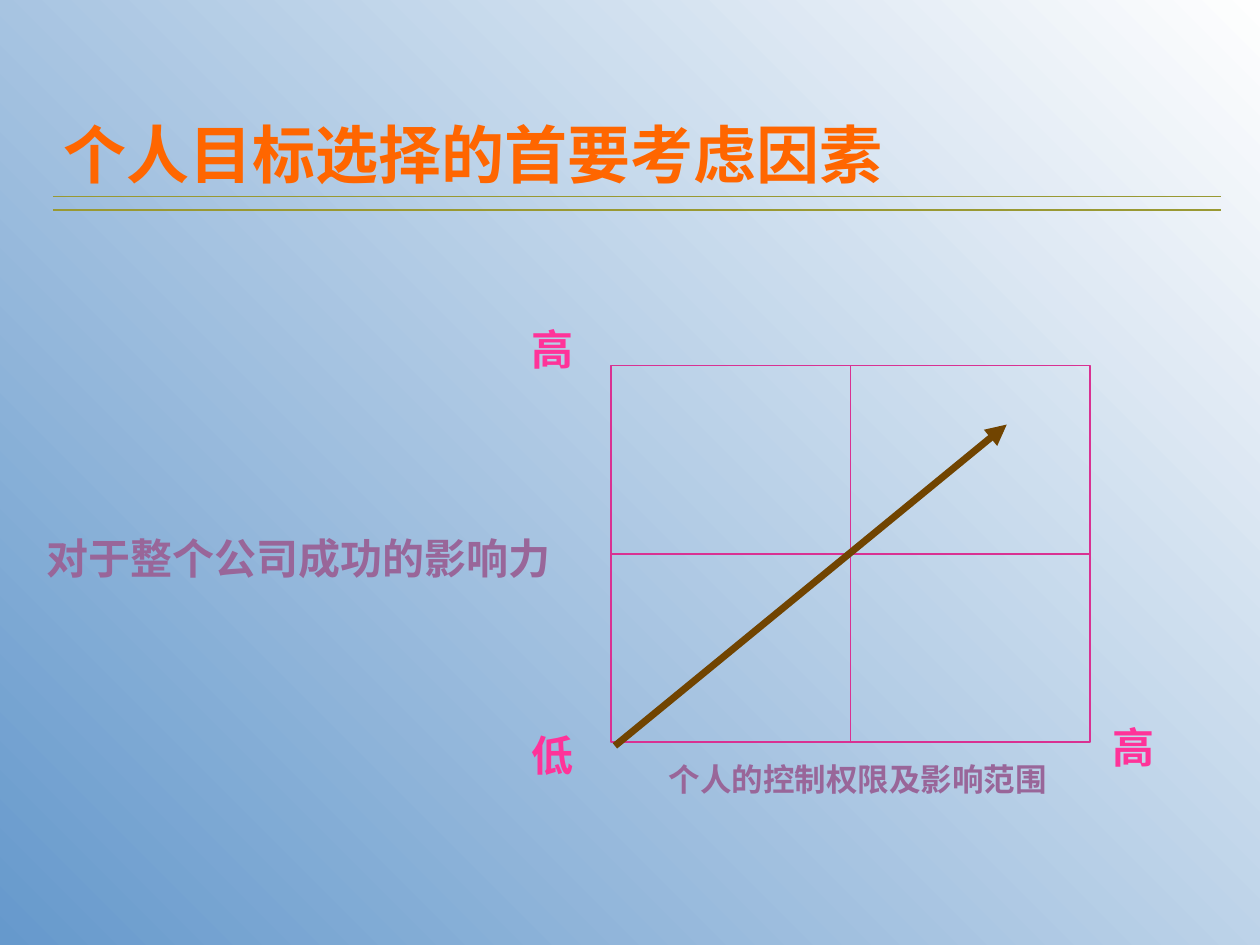
from dataclasses import dataclass

from lxml.etree import SubElement
from pptx import Presentation
from pptx.dml.color import RGBColor as RGB
from pptx.enum.shapes import MSO_CONNECTOR as Link, MSO_SHAPE as Shape
from pptx.enum.text import MSO_ANCHOR as Anchor, MSO_AUTO_SIZE as Fit, PP_ALIGN as Align
from pptx.oxml.ns import qn
from pptx.slide import Slide
from pptx.text.text import TextFrame
from pptx.util import Pt


@dataclass(frozen=True)
class Theme:
    font: str = "Arial"
    light: str = "FEFEFE"
    deep: str = "6699CC"
    title: str = "FF6600"
    rule: str = "999933"
    grid: str = "D93192"
    arrow: str = "714400"
    mark: str = "FF3399"
    axis: str = "996699"
    big: int = 36
    mid: int = 24
    small: int = 18
    thin: int = 1
    thick: int = 4


@dataclass(frozen=True)
class Label:
    text: str
    left: float
    top: float
    width: float
    height: float
    size: int
    color: str


@dataclass(frozen=True)
class Line:
    x1: float
    y1: float
    x2: float
    y2: float
    color: str
    width: int
    head: bool = False


THEME = Theme()

# Matrix frame
LEFT, TOP, WIDTH, HEIGHT = 349.2, 208.8, 273.6, 215.3
RIGHT, BASE = LEFT + WIDTH, TOP + HEIGHT
MID_X, MID_Y = LEFT + WIDTH / 2, TOP + HEIGHT / 2

LINES = [
    Line(LEFT, MID_Y, RIGHT, MID_Y, THEME.grid, THEME.thin),
    Line(MID_X, TOP, MID_X, BASE, THEME.grid, THEME.thin),
    Line(351.4, 426.2, 575.3, 242.6, THEME.arrow, THEME.thick, head=True),
    *(Line(30.2, y, 697.7, y, THEME.rule, THEME.thin) for y in (120.2, 112.3)),
]

LABELS = [
    Label("低", 296.6, 413.3, 38.2, 36, THEME.mid, THEME.mark),
    Label("个人的控制权限及影响范围", 375.1, 430.6, 230.4, 28.8, THEME.small, THEME.axis),
    Label("高", 628.6, 409, 38.2, 36, THEME.mid, THEME.mark),
    Label("高", 296.6, 181.4, 38.2, 36, THEME.mid, THEME.mark),
    Label("对于整个公司成功的影响力", 19.4, 301, 302.4, 36, THEME.mid, THEME.axis),
]


def write(frame: TextFrame, text: str, size: int, color: str) -> None:
    frame.text = text
    para = frame.paragraphs[0]
    para.alignment = Align.LEFT
    font = para.runs[0].font
    font.name, font.size, font.bold = THEME.font, Pt(size), True
    font.color.rgb = RGB.from_string(color)


def paint_back(slide: Slide) -> None:
    fill = slide.background.fill
    fill.gradient()
    fill.gradient_angle = 225
    for stop, color in zip(fill.gradient_stops, (THEME.light, THEME.deep)):
        stop.color.rgb = RGB.from_string(color)


def add_title(slide: Slide, text: str) -> None:
    title = slide.shapes.title
    title.left, title.top, title.width, title.height = map(Pt, (28.8, 41, 666, 72))
    frame = title.text_frame
    frame.auto_size = Fit.NONE
    frame.vertical_anchor = Anchor.BOTTOM
    write(frame, text, THEME.big, THEME.title)


def add_frame(slide: Slide) -> None:
    box = slide.shapes.add_shape(Shape.RECTANGLE, *map(Pt, (LEFT, TOP, WIDTH, HEIGHT)))
    box.shadow.inherit = False
    box.fill.background()
    box.line.color.rgb = RGB.from_string(THEME.grid)
    box.line.width = Pt(THEME.thin)


def add_line(slide: Slide, item: Line) -> None:
    ends = map(Pt, (item.x1, item.y1, item.x2, item.y2))
    link = slide.shapes.add_connector(Link.STRAIGHT, *ends)
    link.line.color.rgb = RGB.from_string(item.color)
    link.line.width = Pt(item.width)
    if item.head:
        SubElement(link.line._get_or_add_ln(), qn("a:tailEnd"), type="triangle")
    SubElement(link._element.spPr, qn("a:effectLst"))


def add_label(slide: Slide, item: Label) -> None:
    area = map(Pt, (item.left, item.top, item.width, item.height))
    frame = slide.shapes.add_textbox(*area).text_frame
    frame.word_wrap = False
    frame.auto_size = Fit.SHAPE_TO_FIT_TEXT
    write(frame, item.text, item.size, item.color)


def main() -> None:
    deck = Presentation()
    deck.slide_width, deck.slide_height = Pt(720), Pt(540)
    slide = deck.slides.add_slide(deck.slide_layouts.get_by_name("Title Only"))
    paint_back(slide)
    add_title(slide, "个人目标选择的首要考虑因素")
    add_frame(slide)
    for line in LINES:
        add_line(slide, line)
    for label in LABELS:
        add_label(slide, label)
    deck.save("out.pptx")


if __name__ == "__main__":
    main()
